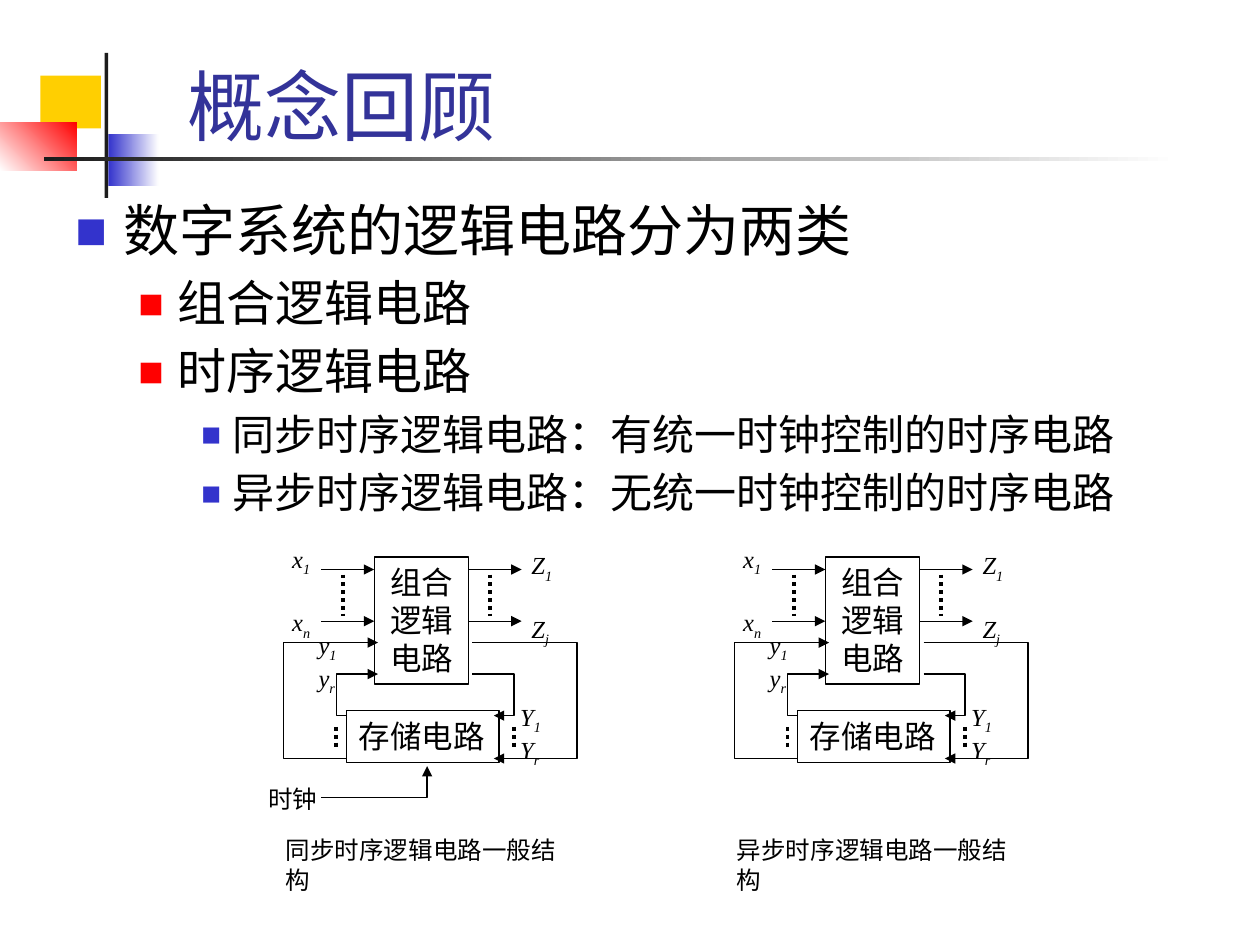
"""Build the concept review slide on combinational and sequential logic circuits."""
from dataclasses import dataclass

from lxml.etree import SubElement
from pptx import Presentation
from pptx.dml.color import RGBColor
from pptx.enum.dml import MSO_LINE
from pptx.enum.shapes import MSO_CONNECTOR, MSO_SHAPE
from pptx.enum.text import MSO_ANCHOR, MSO_AUTO_SIZE, PP_ALIGN
from pptx.oxml.ns import qn
from pptx.util import Inches, Pt

COLORS = {
    "black": "000000", "white": "FFFFFF", "dark": "1C1C1C", "yellow": "FFCF01",
    "blue": "3333CC", "red": "FF0000", "title": "333399",
}
SANS = "Noto Sans"
SERIF = "Times New Roman"
DIAGRAM_STEP = 3.58


@dataclass
class Block:
    left: float
    top: float
    width: float
    height: float
    colors: tuple[str, ...]
    angle: int = 0


@dataclass
class Level:
    size: int
    margin: float
    hanging: float
    bullet_color: str
    bullet_percent: int


@dataclass
class Label:
    left: float
    top: float
    width: float
    height: float
    letter: str
    subscripts: str
    gap: int = 0


@dataclass
class Wire:
    points: tuple[tuple[float, float], ...]
    dotted: bool = False


@dataclass
class Unit:
    left: float
    top: float
    width: float
    height: float
    text: str
    align: PP_ALIGN


BLOCKS = [
    Block(0.32, 0.6, 0.48, 0.42, ("yellow",)),
    Block(0.86, 1.06, 0.4, 0.42, ("blue", "white")),
    Block(0, 0.97, 0.61, 0.38, ("white", "red"), 45),
    Block(0.83, 0.42, 0.03, 1.15, ("dark",)),
    Block(0.35, 1.25, 9, 0.03, ("dark", "white")),
]
LEVELS = [
    Level(32, 0.38, 0.38, "blue", 60),
    Level(28, 0.81, 0.31, "red", 55),
    Level(24, 1.25, 0.25, "blue", 50),
]
OUTLINE = [
    (0, "数字系统的逻辑电路分为两类"),
    (1, "组合逻辑电路"),
    (1, "时序逻辑电路"),
    (2, "同步时序逻辑电路：有统一时钟控制的时序电路"),
    (2, "异步时序逻辑电路：无统一时钟控制的时序电路"),
]
UNITS = [
    Unit(2.97, 4.42, 0.75, 1.01, "组合逻辑电路", PP_ALIGN.CENTER),
    Unit(2.75, 5.64, 1.21, 0.41, "存储电路", PP_ALIGN.LEFT),
]
LABELS = [
    Label(2.22, 4.27, 0.35, 0.8, "x", "1n", 17),
    Label(4.12, 4.32, 0.37, 0.8, "Z", "1j", 17),
    Label(4.03, 5.52, 0.37, 0.57, "Y", "1r"),
    Label(2.43, 4.95, 0.35, 0.57, "y", "1r"),
]
WIRES = [
    *(Wire(((x, y), (x + 0.42, y))) for x in (2.55, 3.72) for y in (4.52, 4.93)),
    *(Wire(((x, 4.56), (x, 4.89)), True) for x in (2.72, 3.89)),
    *(Wire(((x, 5.77), (x, 5.93)), True) for x in (2.67, 4.08)),
    Wire(((3.75, 5.35), (4.08, 5.35), (4.08, 5.68), (3.92, 5.68))),
    Wire(((3.75, 5.1), (4.58, 5.1), (4.58, 6.02), (3.92, 6.02))),
    Wire(((2.75, 5.68), (2.67, 5.68), (2.67, 5.35), (3, 5.35))),
    Wire(((2.75, 6.02), (2.25, 6.02), (2.25, 5.1), (3, 5.1))),
]
CLOCK_WIRE = Wire(((2.55, 6.33), (3.39, 6.33), (3.39, 6.08)))


def rgb(name: str) -> RGBColor:
    """Return the named colour."""
    return RGBColor.from_string(COLORS[name])


def style(paragraph, size: int, font: str, color: str = "black", italic: bool = False) -> None:
    """Set the font of a whole paragraph."""
    paragraph.font.size = Pt(size)
    paragraph.font.name = font
    paragraph.font.italic = italic
    paragraph.font.color.rgb = rgb(color)


def draw_block(shapes, block: Block) -> None:
    """Draw a plain or graded rectangle of the title ornament."""
    area = map(Inches, (block.left, block.top, block.width, block.height))
    shape = shapes.add_shape(MSO_SHAPE.RECTANGLE, *area)
    shape.shadow.inherit = False
    shape.line.fill.background()
    if len(block.colors) == 1:
        shape.fill.solid()
        shape.fill.fore_color.rgb = rgb(block.colors[0])
        return
    shape.fill.gradient()
    shape.fill.gradient_angle = block.angle
    for stop, color in zip(shape.fill.gradient_stops, block.colors):
        stop.color.rgb = rgb(color)


def add_bullet(paragraph, level: Level) -> None:
    """Give a paragraph its indent and square bullet."""
    properties = paragraph._p.get_or_add_pPr()
    properties.set("marL", str(Inches(level.margin)))
    properties.set("indent", str(-Inches(level.hanging)))
    color = SubElement(properties, qn("a:buClr"))
    SubElement(color, qn("a:srgbClr"), val=COLORS[level.bullet_color])
    SubElement(properties, qn("a:buSzPct"), val=str(level.bullet_percent * 1000))
    SubElement(properties, qn("a:buFont"), typeface=SANS)
    SubElement(properties, qn("a:buChar"), char="■")


def draw_outline(shapes) -> None:
    """Write the bulleted outline."""
    box = shapes.add_textbox(Inches(0.5), Inches(1.5), Inches(9.17), Inches(5.33))
    frame = box.text_frame
    frame.word_wrap = True
    for index, (depth, text) in enumerate(OUTLINE):
        paragraph = frame.add_paragraph() if index else frame.paragraphs[0]
        level = LEVELS[depth]
        paragraph.text = text
        paragraph.level = depth
        paragraph.space_before = Pt(level.size * 0.2)
        add_bullet(paragraph, level)
        style(paragraph, level.size, SANS)


def draw_text(shapes, left: float, top: float, width: float, text: str) -> None:
    """Write a small text line."""
    box = shapes.add_textbox(Inches(left), Inches(top), Inches(width), Inches(0.33))
    box.text_frame.word_wrap = True
    box.text_frame.text = text
    style(box.text_frame.paragraphs[0], 14, SERIF)


def draw_unit(shapes, unit: Unit, shift: float) -> None:
    """Draw an outlined circuit unit."""
    area = map(Inches, (unit.left + shift, unit.top, unit.width, unit.height))
    shape = shapes.add_shape(MSO_SHAPE.RECTANGLE, *area)
    shape.shadow.inherit = False
    shape.fill.background()
    shape.line.color.rgb = rgb("black")
    shape.line.width = Pt(0.75)
    frame = shape.text_frame
    frame.word_wrap = True
    frame.vertical_anchor = MSO_ANCHOR.TOP
    frame.text = unit.text
    frame.paragraphs[0].alignment = unit.align
    style(frame.paragraphs[0], 18, SERIF)


def draw_label(shapes, label: Label, shift: float) -> None:
    """Write a pair of subscripted signal names."""
    area = map(Inches, (label.left + shift, label.top, label.width, label.height))
    frame = shapes.add_textbox(*area).text_frame
    frame.word_wrap = False
    for index, subscript in enumerate(label.subscripts):
        paragraph = frame.add_paragraph() if index else frame.paragraphs[0]
        paragraph.space_before = Pt(label.gap * index)
        style(paragraph, 14, SERIF, italic=True)
        paragraph.add_run().text = label.letter
        span = paragraph.add_run()
        span.text = subscript
        span.font._element.set("baseline", "-25000")


def draw_wire(shapes, wire: Wire, shift: float) -> None:
    """Draw a dotted line, or a straight or bent arrow."""
    points = [(Inches(x + shift), Inches(y)) for x, y in wire.points]
    if len(points) == 2:
        line = shapes.add_connector(MSO_CONNECTOR.STRAIGHT, *points[0], *points[1])
    else:
        builder = shapes.build_freeform(*points[0])
        builder.add_line_segments(points[1:], close=False)
        line = builder.convert_to_shape()
        line.fill.background()
    line.line.color.rgb = rgb("black")
    line.line.width = Pt(2.25 if wire.dotted else 0.75)
    if wire.dotted:
        line.line.dash_style = MSO_LINE.ROUND_DOT
    else:
        SubElement(line.line._get_or_add_ln(), qn("a:tailEnd"), type="triangle")
    SubElement(line._element.spPr, qn("a:effectLst"))


def draw_diagram(page, shift: float, caption: str, clocked: bool) -> None:
    """Draw one sequential circuit with its caption."""
    draw_text(page.shapes, 2.17 + shift, 6.58, 2.53, caption)
    shapes = page.shapes.add_group_shape().shapes
    for unit in UNITS:
        draw_unit(shapes, unit, shift)
    for wire in WIRES + [CLOCK_WIRE] * clocked:
        draw_wire(shapes, wire, shift)
    for label in LABELS:
        draw_label(shapes, label, shift)
    if clocked:
        draw_text(shapes, 2.03 + shift, 6.17, 0.6, "时钟")


def draw_title(page) -> None:
    """Place and format the title."""
    title = page.shapes.title
    title.left, title.top, title.width, title.height = map(Inches, (1.39, 0.58, 8.52, 0.67))
    frame = title.text_frame
    frame.text = "概念回顾"
    frame.auto_size = MSO_AUTO_SIZE.NONE
    frame.vertical_anchor = MSO_ANCHOR.BOTTOM
    frame.paragraphs[0].alignment = PP_ALIGN.LEFT
    style(frame.paragraphs[0], 44, SANS, "title")


def main() -> None:
    """Build and save the deck."""
    deck = Presentation()
    deck.slide_width, deck.slide_height = Inches(10), Inches(7.5)
    page = deck.slides.add_slide(deck.slide_layouts[5])
    for block in BLOCKS:
        draw_block(page.shapes, block)
    draw_title(page)
    draw_outline(page.shapes)
    draw_diagram(page, 0, "同步时序逻辑电路一般结构", True)
    draw_diagram(page, DIAGRAM_STEP, "异步时序逻辑电路一般结构", False)
    deck.save("out.pptx")


if __name__ == "__main__":
    main()
